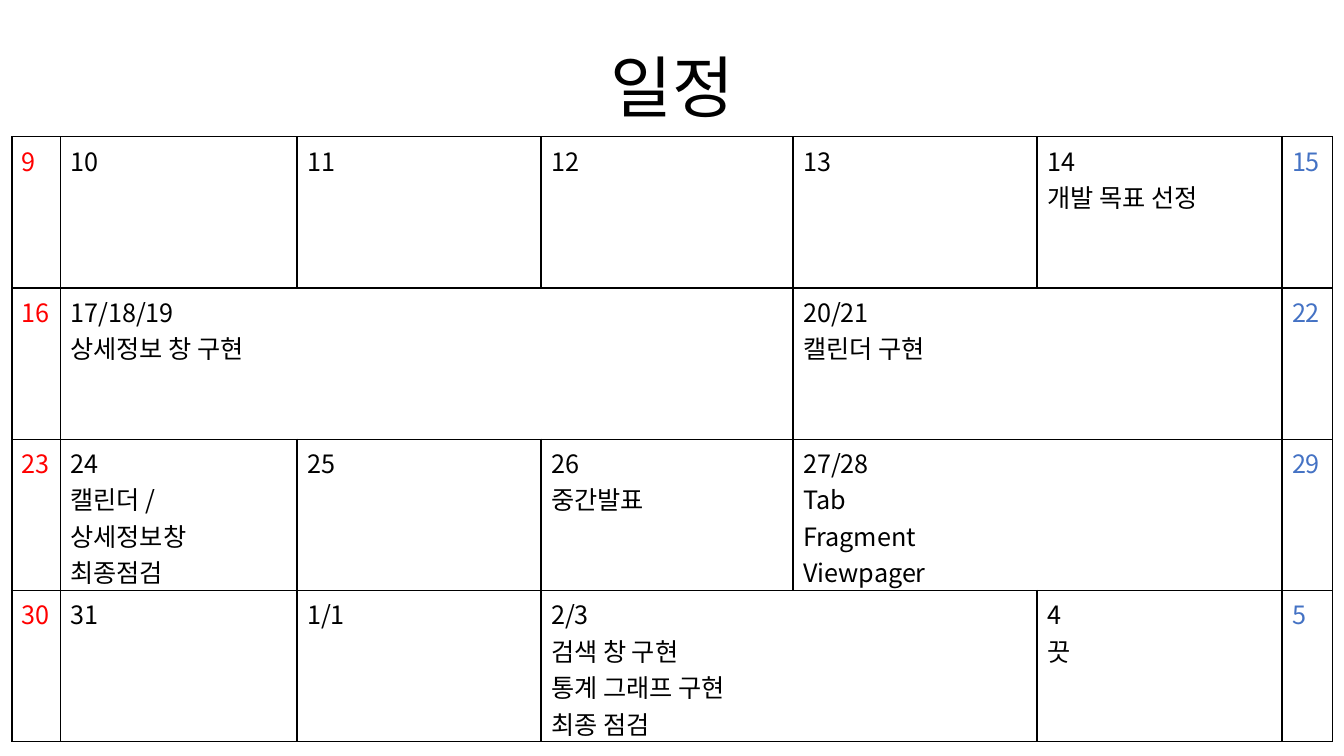
from dataclasses import dataclass

from lxml import etree
from pptx import Presentation
from pptx.dml.color import RGBColor
from pptx.enum import text
from pptx.oxml import ns
from pptx.util import Pt


@dataclass(frozen=True)
class Theme:
    font: str = "Noto Sans CJK KR"
    title_size: int = 48
    cell_size: int = 18
    ink: str = "000000"
    sunday: str = "FF0000"
    saturday: str = "4472C4"


THEME = Theme()
COLUMN_WIDTHS = (34.5, 169.2, 174.25, 180, 174.25, 175, 36)
ROW_HEIGHT = 108
# Each week lists its entries as (text, number of days covered).
WEEKS = (
    (("9", 1), ("10", 1), ("11", 1), ("12", 1), ("13", 1),
     ("14\n개발 목표 선정", 1), ("15", 1)),
    (("16", 1), ("17/18/19\n상세정보 창 구현", 3),
     ("20/21\n캘린더 구현", 2), ("22", 1)),
    (("23", 1), ("24\n캘린더 /\n상세정보창\n최종점검", 1), ("25", 1),
     ("26\n중간발표", 1), ("27/28\nTab\nFragment\nViewpager", 2), ("29", 1)),
    (("30", 1), ("31", 1), ("1/1", 1),
     ("2/3\n검색 창 구현\n통계 그래프 구현\n최종 점검", 2),
     ("4\n끗", 1), ("5", 1)),
)


def style_text(tf, size, color):
    for p in tf.paragraphs:
        font = p.font
        font.name = THEME.font
        font.size = Pt(size)
        font.bold = False
        font.color.rgb = RGBColor.from_string(color)
        latin = p._p.pPr.find(".//" + ns.qn("a:latin"))
        ea = etree.Element(ns.qn("a:ea"), typeface=THEME.font)
        latin.addnext(ea)


def outline_cell(cell):
    """Clear the fill and draw a thin line on all four sides."""
    cell.fill.background()
    tc_pr = cell._tc.get_or_add_tcPr()
    for i, side in enumerate(("lnL", "lnR", "lnT", "lnB")):
        ln = etree.Element(ns.qn("a:" + side), w=str(Pt(1)))
        fill = etree.SubElement(ln, ns.qn("a:solidFill"))
        etree.SubElement(fill, ns.qn("a:srgbClr"), val=THEME.ink)
        tc_pr.insert(i, ln)


def add_title(slide, words):
    sp = slide.shapes.title
    sp.left, sp.top, sp.width, sp.height = Pt(365), Pt(0), Pt(230.4), Pt(83.5)
    tf = sp.text_frame
    tf.text = words
    tf.word_wrap = True
    tf.vertical_anchor = text.MSO_ANCHOR.TOP
    tf.auto_size = text.MSO_AUTO_SIZE.SHAPE_TO_FIT_TEXT
    p = tf.paragraphs[0]
    p.alignment = text.PP_ALIGN.CENTER
    p.line_spacing = 1.5
    style_text(tf, THEME.title_size, THEME.ink)


def add_calendar(slide, weeks):
    days = len(COLUMN_WIDTHS)
    table = slide.shapes.add_table(
        len(weeks), days, Pt(8.5), Pt(97.75),
        Pt(sum(COLUMN_WIDTHS)), Pt(ROW_HEIGHT * len(weeks))).table
    table.first_row = table.horz_banding = False
    for column, width in zip(table.columns, COLUMN_WIDTHS):
        column.width = Pt(width)
    for row in table.rows:
        row.height = Pt(ROW_HEIGHT)
    for cell in table.iter_cells():
        outline_cell(cell)

    day_colors = {0: THEME.sunday, days - 1: THEME.saturday}
    for week, entries in enumerate(weeks):
        day = 0
        for words, span in entries:
            cell = table.cell(week, day)
            if span > 1:
                cell.merge(table.cell(week, day + span - 1))
            cell.text = words
            style_text(cell.text_frame, THEME.cell_size,
                       day_colors.get(day, THEME.ink))
            day += span


def main():
    prs = Presentation()
    prs.slide_width, prs.slide_height = Pt(960), Pt(540)
    slide = prs.slides.add_slide(prs.slide_layouts.get_by_name("Title Only"))
    add_title(slide, "일정")
    add_calendar(slide, WEEKS)
    prs.save("out.pptx")


if __name__ == "__main__":
    main()
